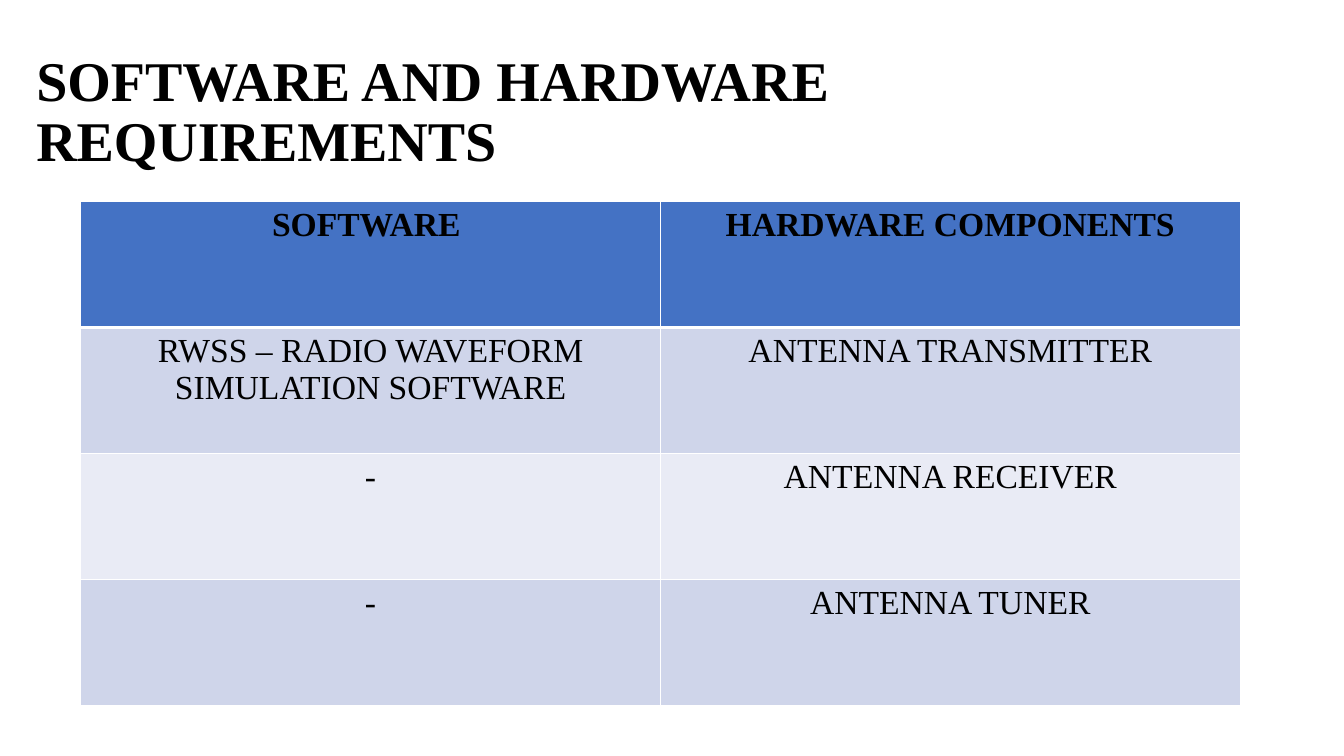
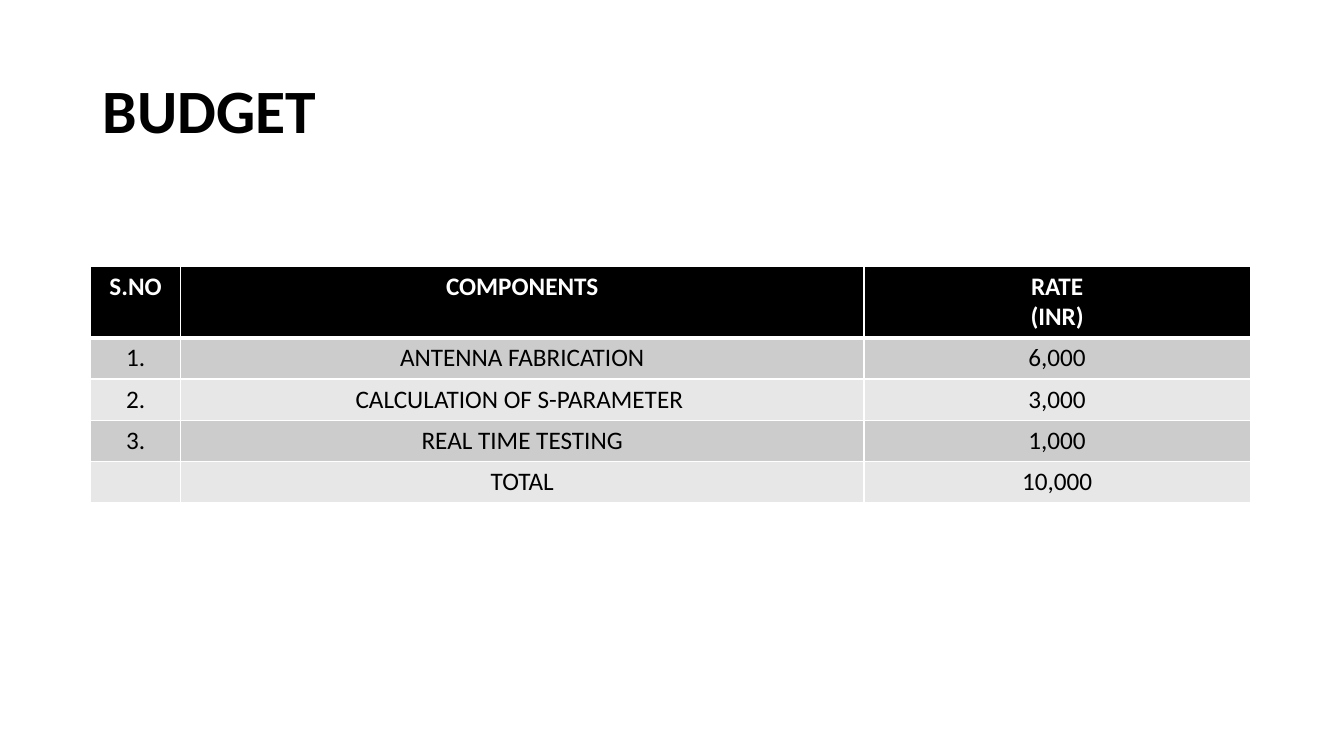
from pptx import Presentation
from pptx.dml.color import RGBColor
from pptx.enum.text import MSO_ANCHOR, MSO_AUTO_SIZE, PP_ALIGN
from pptx.oxml import parse_xml
from pptx.oxml.ns import nsdecls
from pptx.util import Inches, Pt

BLACK = RGBColor(0x00, 0x00, 0x00)
WHITE = RGBColor(0xFF, 0xFF, 0xFF)
BLUE = RGBColor(0x44, 0x72, 0xC4)
BLUE_MID = RGBColor(0xCF, 0xD5, 0xEA)
BLUE_PALE = RGBColor(0xE9, 0xEB, 0xF5)
GREY_MID = RGBColor(0xCC, 0xCC, 0xCC)
GREY_PALE = RGBColor(0xE7, 0xE7, 0xE7)

TITLE_ONLY = 5
WIDTH = 11.5

# Lengths are in inches, text sizes in points; title_box is left and width.
slides = [
    dict(
        title="SOFTWARE AND HARDWARE REQUIREMENTS",
        font="Times New Roman", title_size=40, title_box=(0.26, 12.16),
        left=0.8, top=2, cols=[WIDTH / 2] * 2, heights=[1.25] * 4,
        size=24, head=BLUE, head_ink=BLACK, bands=(BLUE_MID, BLUE_PALE),
        rows=[
            ["SOFTWARE ", "HARDWARE COMPONENTS"],
            ["RWSS – RADIO WAVEFORM SIMULATION SOFTWARE",
             "ANTENNA TRANSMITTER"],
            ["-", "ANTENNA RECEIVER"],
            ["-", "ANTENNA TUNER"],
        ],
    ),
    dict(
        title="BUDGET",
        font="Calibri", title_size=44, title_box=(0.92, WIDTH),
        left=0.9, top=2.64, cols=[0.89, 6.78, 3.83],
        heights=[0.69] + [0.41] * 4,
        size=18, head=BLACK, head_ink=WHITE, bands=(GREY_MID, GREY_PALE),
        rows=[
            ["S.NO", "COMPONENTS", "RATE\n(INR)"],
            ["1.", "ANTENNA FABRICATION", "6,000"],
            ["2.", "CALCULATION OF S-PARAMETER ", "3,000"],
            ["3.", "REAL TIME TESTING", "1,000"],
            ["", "TOTAL", "10,000"],
        ],
    ),
]


def write(frame, text, font, size, color=BLACK, bold=False,
          align=PP_ALIGN.CENTER, spacing=1.0):
    frame.text = text
    for para in frame.paragraphs:
        para.alignment = align
        para.line_spacing = spacing
        para.font.size = Pt(size)
        for run in para.runs:
            run.font.name = font
            run.font.size = Pt(size)
            run.font.bold = bold
            run.font.color.rgb = color


def edge(cell, side, points):
    """Add a white border; call for L, R, T, B in turn, before the fill."""
    cell._tc.get_or_add_tcPr().append(parse_xml(
        f'<a:ln{side} {nsdecls("a")} w="{Pt(points)}"><a:solidFill>'
        f'<a:srgbClr val="{WHITE}"/></a:solidFill></a:ln{side}>'))


deck = Presentation()
deck.slide_width = Inches(13.33)
deck.slide_height = Inches(7.5)

for item in slides:
    slide = deck.slides.add_slide(deck.slide_layouts[TITLE_ONLY])

    title = slide.shapes.title
    left, width = item["title_box"]
    title.left, title.top = Inches(left), Inches(0.4)
    title.width, title.height = Inches(width), Inches(1.45)
    frame = title.text_frame
    frame.word_wrap = True
    frame.auto_size = MSO_AUTO_SIZE.NONE
    frame.vertical_anchor = MSO_ANCHOR.MIDDLE
    write(frame, item["title"], item["font"], item["title_size"],
          bold=True, align=PP_ALIGN.LEFT, spacing=0.9)

    rows, cols, heights = item["rows"], item["cols"], item["heights"]
    table = slide.shapes.add_table(
        len(rows), len(cols), Inches(item["left"]), Inches(item["top"]),
        Inches(WIDTH), Inches(sum(heights))).table
    for col, width in zip(table.columns, cols):
        col.width = Inches(width)
    for row, height in zip(table.rows, heights):
        row.height = Inches(height)

    for r, row in enumerate(rows):
        head = r == 0
        fill = item["head"] if head else item["bands"][(r - 1) % 2]
        ink = item["head_ink"] if head else BLACK
        for c, text in enumerate(row):
            cell = table.cell(r, c)
            edge(cell, "L", 1)
            edge(cell, "R", 1)
            edge(cell, "T", 3 if r == 1 else 1)
            edge(cell, "B", 3 if head else 1)
            cell.fill.solid()
            cell.fill.fore_color.rgb = fill
            write(cell.text_frame, text, item["font"], item["size"],
                  color=ink, bold=head)

deck.save("out.pptx")
